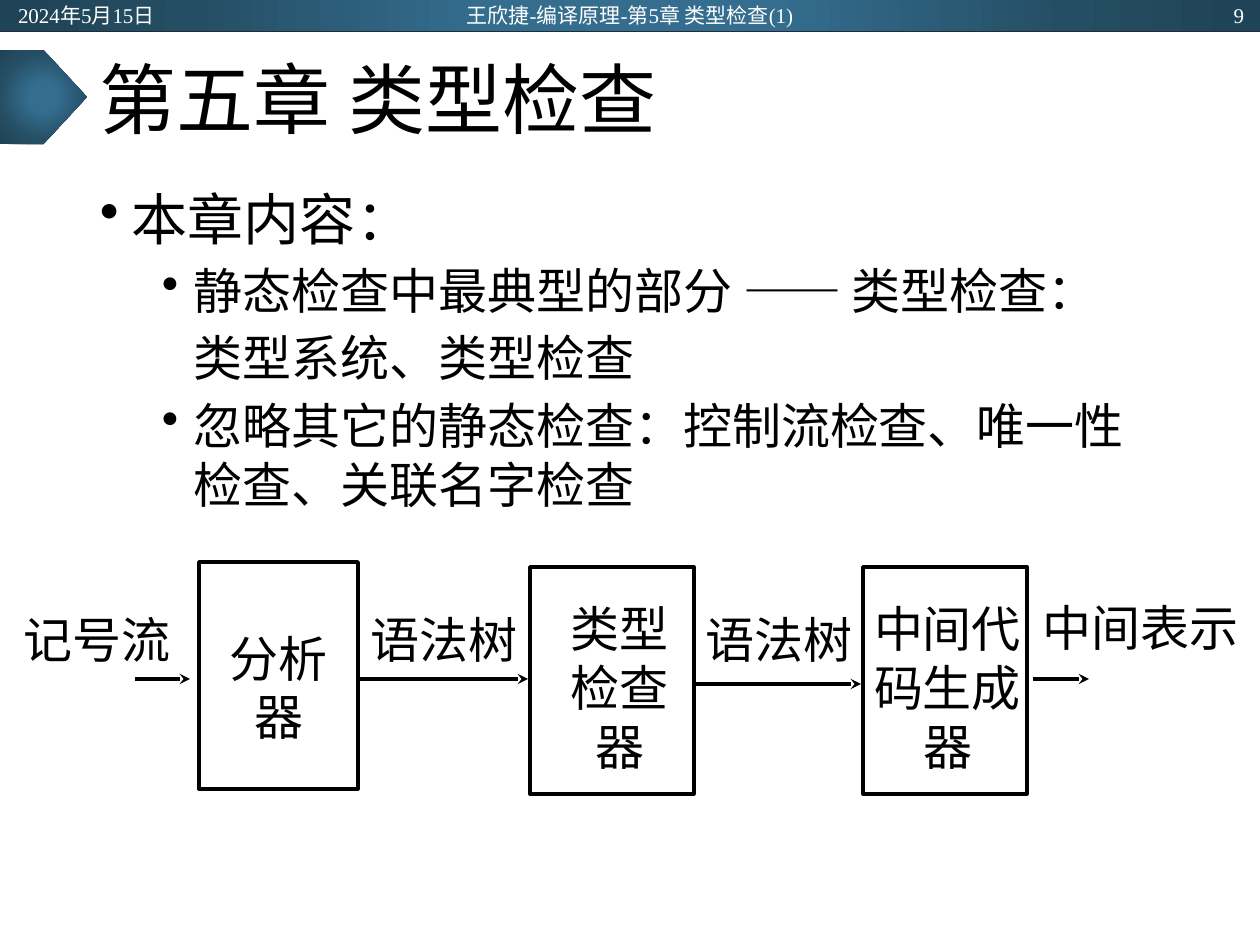
from pptx import Presentation
from pptx import util as u
from pptx.dml.color import RGBColor
from pptx.enum import shapes, text
from pptx.oxml import parse_xml
from pptx.oxml.ns import qn

PX = u.Inches(1) / 126
LATIN, HAN = "Times New Roman", "Noto Sans CJK SC"
BLACK, WHITE = "000000", "FFFFFF"
color = RGBColor.from_string
align = text.PP_ALIGN
anchor = text.MSO_ANCHOR


def emu(*lengths):
    return [u.Emu(round(length * PX)) for length in lengths]


def write(shape, paragraphs, margins=(13, 6, 13, 6), vertical=anchor.TOP,
          horizontal=align.LEFT, ink=BLACK, leading=1.2):
    frame = shape.text_frame
    size = paragraphs[0]["size"]
    left, top, right, bottom = margins
    drop = size * 0.14 * (2 if vertical == anchor.MIDDLE else 1)
    sides = emu(left, top + drop, right, bottom)
    layout = dict(zip(("margin_left", "margin_top", "margin_right", "margin_bottom"), sides))
    layout |= {"word_wrap": True, "vertical_anchor": vertical}
    for name, value in layout.items():
        setattr(frame, name, value)
    for index, item in enumerate(paragraphs):
        paragraph = frame.add_paragraph() if index else frame.paragraphs[0]
        style = {"alignment": horizontal, "line_spacing": u.Pt(round(item["size"] * leading, 1)),
                 "space_before": u.Pt(item.get("before", 0)), "level": item.get("level", 0)}
        for name, value in style.items():
            setattr(paragraph, name, value)
        if "indent" in item:
            properties = paragraph._p.get_or_add_pPr()
            hanging = 32 if item["bullet"] else 0
            properties.set("marL", str(emu(item["indent"])[0]))
            properties.set("indent", str(-emu(hanging)[0]))
            if item["bullet"]:
                bullet = properties.makeelement(qn("a:buChar"), {"char": "•"})
                properties.append(bullet)
        for words, face in item["runs"]:
            run = paragraph.add_run()
            run.text = words
            for name, value in {"size": u.Pt(item["size"]), "name": face}.items():
                setattr(run.font, name, value)
            run.font.color.rgb = color(ink)
            latin = run._r.rPr.find(qn("a:latin"))
            latin.addnext(latin.makeelement(qn("a:ea"), {"typeface": HAN}))


deck = Presentation()
deck.slide_width, deck.slide_height = emu(1260, 945)
slide = deck.slides.add_slide(deck.slide_layouts[6])
canvas = slide.shapes

stops = "".join(
    f'<a:gs pos="{percent * 1000}"><a:srgbClr val="{shade}"/></a:gs>'
    for percent, shade in [(0, "346D8E"), (23, "346D8E"), (69, "254E64"), (97, "204457")])
glow = ('<a:gradFill xmlns:a="http://schemas.openxmlformats.org/drawingml/2006/main" rotWithShape="1">'
        f'<a:gsLst>{stops}</a:gsLst><a:path path="circle">'
        '<a:fillToRect l="50000" t="50000" r="50000" b="50000"/></a:path></a:gradFill>')
for preset, place in [(shapes.MSO_SHAPE.RECTANGLE, (0, 0, 1260, 31)),
                      (shapes.MSO_SHAPE.PENTAGON, (0, 50, 87, 94))]:
    banner = canvas.add_shape(preset, *emu(*place))
    banner.shadow.inherit = False
    banner.line.fill.background()
    banner._element.spPr.find(qn("a:prstGeom")).addnext(parse_xml(glow))

title = canvas.add_textbox(*emu(87, 31, 1086, 131))
write(title, [{"size": 44, "runs": [("第五章 类型检查", LATIN)]}],
      vertical=anchor.MIDDLE, leading=1.08)

topic = {"size": 28, "before": 5, "level": 1, "indent": 94, "bullet": True}
contents = canvas.add_textbox(*emu(87, 174, 1086, 678))
write(contents, [
    {"size": 32, "indent": 32, "bullet": True, "runs": [("本章内容：", LATIN)]},
    topic | {"runs": [("静态检查中最典型的部分 —— 类型检查：", LATIN)]},
    topic | {"bullet": False, "runs": [("类型系统、类型检查", LATIN)]},
    topic | {"runs": [("忽略其它的静态检查：", LATIN),
                      ("控制流检查、唯一性检查、关联名字检查", HAN)]},
])

for place, margins, face, lines in [
    ((199, 562, 159, 227), (13, 21, 13, 6), LATIN, ["分析", "器"]),
    ((530, 567, 164, 227), (18, 6, 3, 1), LATIN, ["类型", "检查", "器"]),
    ((863, 567, 164, 227), (8, 6, 3, 1), HAN, ["中间代码生成", "器"]),
]:
    stage = canvas.add_shape(shapes.MSO_SHAPE.RECTANGLE, *emu(*place))
    stage.shadow.inherit = False
    stage.fill.background()
    stage.line.color.rgb = color(BLACK)
    stage.line.width = u.Pt(2)
    write(stage, [{"size": 28, "runs": [(line, face)]} for line in lines],
          margins, anchor.MIDDLE, align.CENTER)

for place, label in [
    ((368, 605, 179, 73), "语法树"),
    ((703, 605, 168, 130), "语法树"),
    ((1040, 593, 220, 147), "中间表示"),
    ((21, 605, 168, 63), "记号流"),
]:
    data = canvas.add_textbox(*emu(*place))
    write(data, [{"size": 28, "runs": [(label, LATIN)]}], (3, 1, 13, 6),
          horizontal=align.JUSTIFY)

for start, end, level, ink, width, head in [
    (0, 1260, 31, "222A35", 0.5, False),
    (360, 528, 679, BLACK, 2, True),
    (693, 861, 684, BLACK, 2, True),
    (135, 190, 679, BLACK, 2, True),
    (1033, 1089, 679, BLACK, 2, True),
]:
    flow = canvas.add_connector(shapes.MSO_CONNECTOR.STRAIGHT, *emu(start, level, end, level))
    flow.line.color.rgb = color(ink)
    flow.line.width = u.Pt(width)
    outline = flow.line._get_or_add_ln()
    if head:
        outline.append(outline.makeelement(qn("a:tailEnd"), {"type": "stealth"}))
    outline.addnext(outline.makeelement(qn("a:effectLst"), {}))

for left, width, side, words in [
    (5, 284, align.LEFT, "2024年5月15日"),
    (417, 426, align.CENTER, "王欣捷-编译原理-第5章 类型检查(1)"),
    (973, 284, align.RIGHT, "9"),
]:
    note = canvas.add_textbox(*emu(left, 1, width, 25))
    write(note, [{"size": 12, "runs": [(words, LATIN)]}], vertical=anchor.MIDDLE,
          horizontal=side, ink=WHITE)

deck.save("out.pptx")
